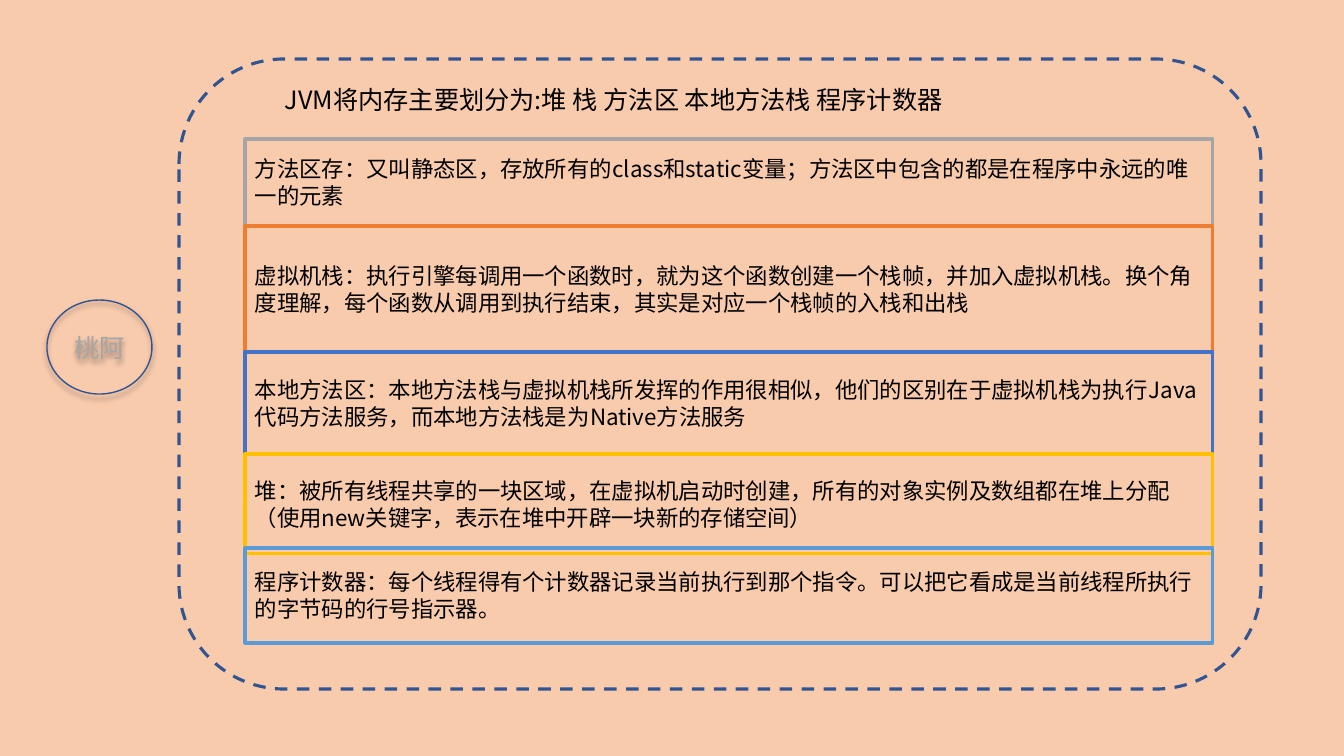
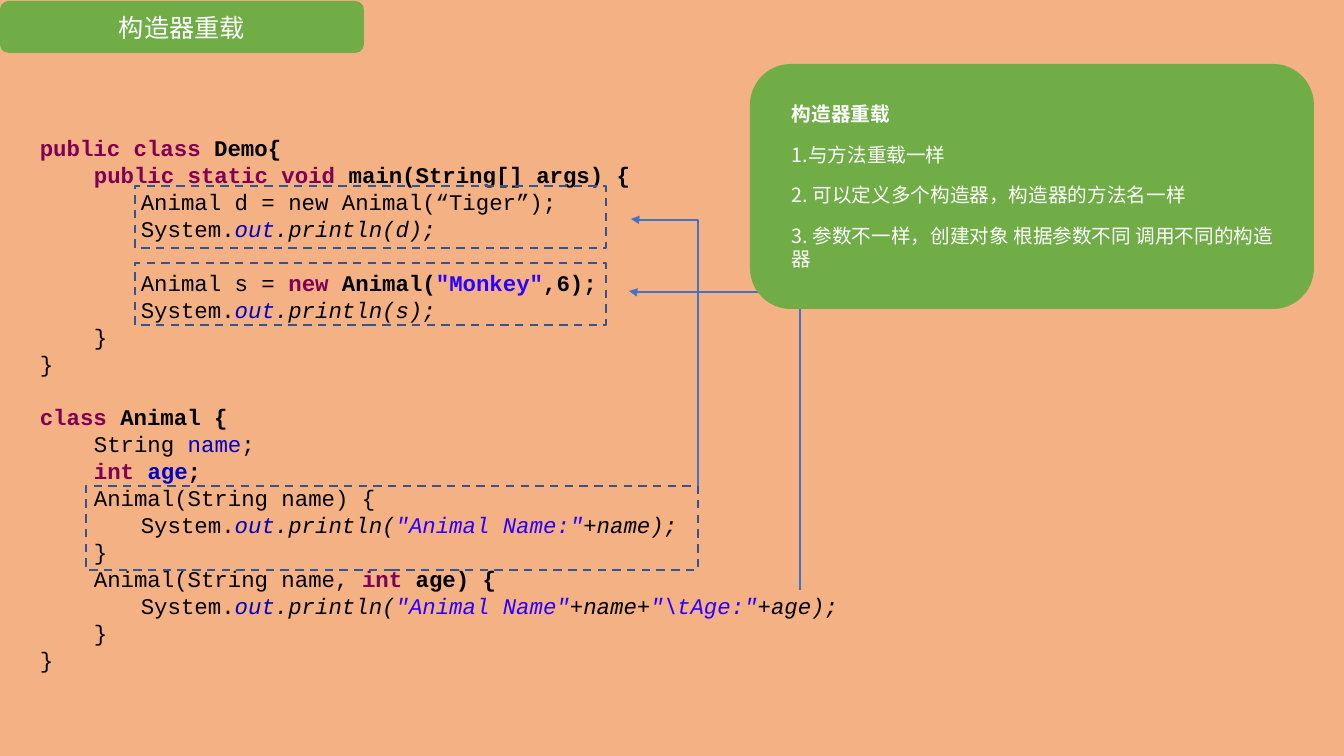
from lxml import etree
from pptx import Presentation
from pptx.dml.color import RGBColor
from pptx.enum.dml import MSO_LINE
from pptx.enum.shapes import MSO_CONNECTOR, MSO_SHAPE
from pptx.enum.text import MSO_ANCHOR, PP_ALIGN
from pptx.oxml.ns import qn
from pptx.util import Pt

RECT, ROUNDED, OVAL = MSO_SHAPE.RECTANGLE, MSO_SHAPE.ROUNDED_RECTANGLE, MSO_SHAPE.OVAL
ELBOW = MSO_CONNECTOR.ELBOW
DASH = MSO_LINE.DASH
LEFT, CENTER = PP_ALIGN.LEFT, PP_ALIGN.CENTER
MIDDLE = MSO_ANCHOR.MIDDLE

EMU_PER_PX = 12192000 / 1344
SLIDE_W, SLIDE_H = 1344, 756

# Colours
BLACK = RGBColor(0x00, 0x00, 0x00)
WHITE = RGBColor(0xFF, 0xFF, 0xFF)
PEACH = RGBColor(0xF8, 0xCB, 0xAD)
APRICOT = RGBColor(0xF4, 0xB1, 0x83)
NAVY = RGBColor(0x32, 0x54, 0x91)
SILVER = RGBColor(0xA6, 0xA6, 0xA6)
GRAY = RGBColor(0xA5, 0xA5, 0xA5)
ORANGE = RGBColor(0xED, 0x7D, 0x31)
BLUE = RGBColor(0x44, 0x72, 0xC4)
GOLD = RGBColor(0xFF, 0xC0, 0x00)
SKY = RGBColor(0x5B, 0x9B, 0xD5)
GREEN = RGBColor(0x70, 0xAD, 0x47)
KEYWORD_PURPLE = RGBColor(0x7F, 0x00, 0x55)
FIELD_BLUE = RGBColor(0x00, 0x00, 0xC0)
STRING_BLUE = RGBColor(0x2A, 0x00, 0xFF)

# Fonts
SANS_SC = "Noto Sans CJK SC"
SANS_JP = "Noto Sans CJK JP"
MONO = "Courier New"

# Code styles: colour, bold, italic
PLAIN = (BLACK, False, False)
BOLD = (BLACK, True, False)
ITALIC = (BLACK, False, True)
KEYWORD = (KEYWORD_PURPLE, True, False)
FIELD = (FIELD_BLUE, False, False)
FIELD_BOLD = (FIELD_BLUE, True, False)
FIELD_ITALIC = (FIELD_BLUE, False, True)
STRING_BOLD = (STRING_BLUE, True, False)
STRING_ITALIC = (STRING_BLUE, False, True)

CODE_LINE = 19.25  # points
MEMBER, BODY = 54, 101  # code indents


def px(value):
    return round(value * EMU_PER_PX)


def write(frame, text, *, size, font=SANS_SC, color=BLACK, bold=False, align=LEFT,
          indent=0, before=0, after=0, line_height=None):
    """Add a paragraph; text is a string or a list of (string, code style)."""
    paragraph = frame.paragraphs[0]
    if paragraph.runs:
        paragraph = frame.add_paragraph()
    paragraph.alignment = align
    paragraph.space_before, paragraph.space_after = Pt(before), Pt(after)
    if line_height:
        paragraph.line_spacing = Pt(line_height)
    if indent:
        properties = paragraph._p.get_or_add_pPr()
        properties.set("marL", str(px(indent)))
        properties.set("indent", "0")
    pieces = [(text, (color, bold, False))] if isinstance(text, str) else text
    for words, (run_color, run_bold, run_italic) in pieces:
        run = paragraph.add_run()
        run.text = words
        run.font.name, run.font.size = font, Pt(size)
        run.font.bold, run.font.italic = run_bold, run_italic
        run.font.color.rgb = run_color
        etree.SubElement(run.font._element, qn("a:ea"), typeface=font)


def add_box(slide, kind, left, top, width, height, fill=None, line=None,
            weight=1.5, dash=None):
    box = slide.shapes.add_shape(kind, px(left), px(top), px(width), px(height))
    box.shadow.inherit = False
    if fill is None:
        box.fill.background()
    else:
        box.fill.solid()
        box.fill.fore_color.rgb = fill
    if line is None:
        box.line.fill.background()
    else:
        box.line.color.rgb = line
        box.line.width = Pt(weight)
        box.line.dash_style = dash
    box.text_frame.word_wrap = True
    box.text_frame.vertical_anchor = MIDDLE
    return box


def add_text_box(slide, left, top, width, height):
    frame = slide.shapes.add_textbox(px(left), px(top), px(width), px(height)).text_frame
    frame.word_wrap = True
    return frame


def add_drop_shadow(box):
    effects = box._element.spPr.find(qn("a:effectLst"))
    shadow = etree.SubElement(effects, qn("a:outerShdw"), blurRad=str(Pt(4)),
                              dist=str(Pt(3)), dir="5400000", rotWithShape="0")
    tint = etree.SubElement(shadow, qn("a:srgbClr"), val=str(BLACK))
    etree.SubElement(tint, qn("a:alpha"), val="40000")


def add_call_arrow(slide, start, end, bend):
    """Elbow that rises from start, then turns left to end (a quarter-turned box)."""
    run, rise = start[0] - end[0], start[1] - end[1]
    left = (start[0] + end[0] - rise) / 2
    top = (start[1] + end[1] - run) / 2
    arrow = slide.shapes.add_connector(ELBOW, px(left), px(top + run),
                                       px(left + rise), px(top))
    arrow.line.color.rgb = BLUE
    arrow.line.width = Pt(1.5)
    properties = arrow._element.spPr
    properties.find(qn("a:xfrm")).set("rot", "16200000")
    geometry = properties.find(qn("a:prstGeom"))
    guides = geometry.find(qn("a:avLst"))
    if guides is None:
        guides = etree.SubElement(geometry, qn("a:avLst"))
    etree.SubElement(guides, qn("a:gd"), name="adj1", fmla=f"val {bend}")
    etree.SubElement(properties.find(qn("a:ln")), qn("a:tailEnd"), type="triangle")
    etree.SubElement(properties, qn("a:effectLst"))


def new_slide(deck, background):
    slide = deck.slides.add_slide(deck.slide_layouts[6])
    slide.background.fill.solid()
    slide.background.fill.fore_color.rgb = background
    return slide


def println(*arguments):
    return [("System.", PLAIN), ("out", FIELD_ITALIC), (".println(", ITALIC),
            *arguments, (");", ITALIC)]


# Memory areas: top, height, outline, description
MEMORY_AREAS = [
    (139, 87, GRAY, "方法区存：又叫静态区，存放所有的class和static变量；"
                    "方法区中包含的都是在程序中永远的唯一的元素"),
    (226, 126, ORANGE, "虚拟机栈：执行引擎每调用一个函数时，就为这个函数创建一个栈帧，并加入虚拟机栈。"
                       "换个角度理解，每个函数从调用到执行结束，其实是对应一个栈帧的入栈和出栈"),
    (352, 102, BLUE, "本地方法区：本地方法栈与虚拟机栈所发挥的作用很相似，"
                     "他们的区别在于虚拟机栈为执行Java代码方法服务，而本地方法栈是为Native方法服务"),
    (454, 100, GOLD, "堆：被所有线程共享的一块区域，在虚拟机启动时创建，所有的对象实例及数组都在堆上分配"
                     "（使用new关键字，表示在堆中开辟一块新的存储空间）"),
    (548, 95, SKY, "程序计数器：每个线程得有个计数器记录当前执行到那个指令。"
                   "可以把它看成是当前线程所执行的字节码的行号指示器。"),
]

# Code blocks, parted by an empty line: indent, runs
CODE_BLOCKS = [
    [
        (0, [("public class", KEYWORD), (" Demo{", BOLD)]),
        (MEMBER, [("public static void", KEYWORD), (" main(String[] args) {", BOLD)]),
        (BODY, [("Animal d = new Animal(“Tiger”);", PLAIN)]),
        (BODY, println(("d", ITALIC))),
    ],
    [
        (BODY, [("Animal s = ", PLAIN), ("new", KEYWORD), (" Animal(", BOLD),
                ('"Monkey"', STRING_BOLD), (",6);", BOLD)]),
        (BODY, println(("s", ITALIC))),
        (MEMBER, [("}", PLAIN)]),
        (0, [("}", PLAIN)]),
    ],
    [
        (0, [("class", KEYWORD), (" Animal {", BOLD)]),
        (MEMBER, [("String ", PLAIN), ("name", FIELD), (";", PLAIN)]),
        (MEMBER, [("int ", KEYWORD), ("age", FIELD_BOLD), (";", BOLD)]),
        (MEMBER, [("Animal(String name) {", PLAIN)]),
        (BODY, println(('"Animal Name:"', STRING_ITALIC), ("+name", ITALIC))),
        (MEMBER, [("}", PLAIN)]),
        (MEMBER, [("Animal(String name, ", PLAIN), ("int", KEYWORD), (" age) {", BOLD)]),
        (BODY, println(('"Animal Name"', STRING_ITALIC), ("+name+", ITALIC),
                       ('"\\tAge:"', STRING_ITALIC), ("+age", ITALIC))),
        (MEMBER, [("}", PLAIN)]),
        (0, [("}", PLAIN)]),
    ],
]

OVERLOAD_RULES = [
    "1.与方法重载一样",
    "2. 可以定义多个构造器，构造器的方法名一样",
    "3. 参数不一样，创建对象 根据参数不同 调用不同的构造器",
]


def build_memory_slide(deck):
    slide = new_slide(deck, PEACH)
    # Frame and name badge
    add_box(slide, ROUNDED, 179, 59, 1082, 630, line=NAVY, weight=2.25, dash=DASH)
    badge = add_box(slide, OVAL, 47, 300, 105, 94, line=NAVY, weight=1)
    add_drop_shadow(badge)
    write(badge.text_frame, "桃阿", size=18, font=SANS_JP, color=SILVER, align=CENTER)
    # Heading
    heading = add_text_box(slide, 275, 79, 706, 40)
    write(heading, "JVM将内存主要划分为:堆 栈 方法区 本地方法栈 程序计数器", size=18)
    # Memory areas
    for top, height, outline, description in MEMORY_AREAS:
        area = add_box(slide, RECT, 245, top, 968, height, line=outline, weight=2.25)
        write(area.text_frame, description, size=16)


def build_constructor_slide(deck):
    slide = new_slide(deck, APRICOT)
    add_call_arrow(slide, (800, 590), (629, 291), 99600)
    # Code listing
    code = add_text_box(slide, 30, 129, 976, 553)
    for block_number, block in enumerate(CODE_BLOCKS):
        for line_number, (indent, runs) in enumerate(block):
            starts_block = block_number > 0 and line_number == 0
            write(code, runs, size=16, font=MONO, indent=indent,
                  before=CODE_LINE if starts_block else 0, line_height=CODE_LINE)
    # Title tab
    title = add_box(slide, ROUNDED, 0, 1, 364, 52, fill=GREEN)
    write(title.text_frame, "构造器重载", size=18, font=SANS_JP, color=WHITE, align=CENTER)
    # Rules panel
    rules = add_box(slide, ROUNDED, 750, 64, 564, 245, fill=GREEN).text_frame
    for number, rule in enumerate(["构造器重载", *OVERLOAD_RULES]):
        write(rules, rule, size=14, font=SANS_JP, color=WHITE, bold=number == 0,
              indent=20, before=6, after=6)
    # Marked calls and the constructor that the first one uses
    for left, top, width, height in [(135, 186, 471, 62), (135, 263, 471, 62),
                                     (86, 486, 612, 84)]:
        add_box(slide, RECT, left, top, width, height, line=NAVY, dash=DASH)
    add_call_arrow(slide, (698, 486), (631, 219), 99700)


def main():
    deck = Presentation()
    deck.slide_width, deck.slide_height = px(SLIDE_W), px(SLIDE_H)
    build_memory_slide(deck)
    build_constructor_slide(deck)
    deck.save("out.pptx")


main()
